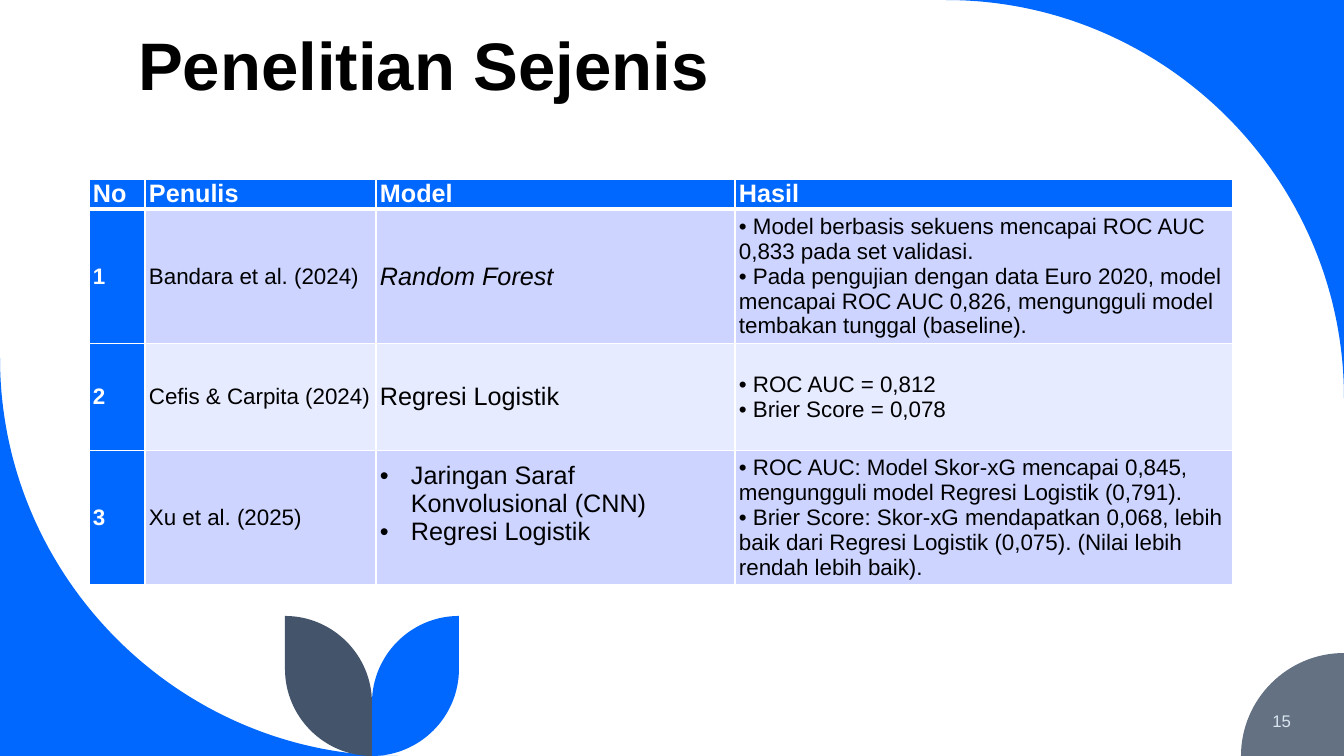
from lxml.etree import SubElement
from pptx import Presentation
from pptx.dml.color import RGBColor
from pptx.enum.text import MSO_ANCHOR, MSO_AUTO_SIZE, PP_ALIGN
from pptx.oxml.ns import qn
from pptx.util import Emu, Pt

EMU_PER_PX = 914400 / 100.8
WIDTH, HEIGHT = 1344, 756
FONT = "Arial"
COLORS = {
    "blue": "0068FF",
    "slate": "44546A",
    "grey": "637183",
    "page": "DAE5EF",
    "band_dark": "CCD4FF",
    "band_light": "E7EBFF",
    "white": "FFFFFF",
    "black": "000000",
}
COLUMN_WIDTHS = [56, 231, 359, 498]
ROW_HEIGHTS = [26, 65, 107, 86]
HEADERS = ["No", "Penulis", "Model", "Hasil"]
STUDIES = [
    ("Bandara et al. (2024)", ["Random Forest"], [
        "• Model berbasis sekuens mencapai ROC AUC 0,833 pada set validasi.",
        "• Pada pengujian dengan data Euro 2020, model mencapai ROC AUC 0,826, "
        "mengungguli model tembakan tunggal (baseline).",
    ]),
    ("Cefis & Carpita (2024)", ["Regresi Logistik"], [
        "• ROC AUC = 0,812",
        "• Brier Score = 0,078",
    ]),
    ("Xu et al. (2025)", ["Jaringan Saraf Konvolusional (CNN)", "Regresi Logistik"], [
        "• ROC AUC: Model Skor-xG mencapai 0,845, mengungguli model Regresi Logistik (0,791).",
        "• Brier Score: Skor-xG mendapatkan 0,068, lebih baik dari Regresi Logistik (0,075). "
        "(Nilai lebih rendah lebih baik).",
    ]),
]


def px(length):
    return Emu(round(length * EMU_PER_PX))


def color(name):
    return RGBColor.from_string(COLORS[name])


def add_run(paragraph, text, size, color_name, bold=False, italic=False):
    run = paragraph.add_run()
    run.text = text
    run.font.name = FONT
    run.font.size = Pt(size)
    run.font.bold = bold
    run.font.italic = italic
    run.font.color.rgb = color(color_name)


def quarter(start, corner, end):
    """Control points and end of a quarter circle whose tangents meet at the corner."""
    controls = [tuple(a + 0.55 * (c - a) for a, c in zip(point, corner))
                for point in (start, end)]
    return controls + [end]


def add_outline(slide, start, segments, color_name):
    """Draw segments of one point as lines and of three points as curves."""
    points = [(px(x), px(y)) for segment in segments for x, y in segment]
    builder = slide.shapes.build_freeform(px(start[0]), px(start[1]), scale=1.0)
    builder.add_line_segments(points, close=True)
    shape = builder.convert_to_shape()
    shape.shadow.inherit = False
    shape.fill.solid()
    shape.fill.fore_color.rgb = color(color_name)
    shape.line.fill.background()

    lines = iter(list(shape._element.iter(qn("a:lnTo"))))
    for segment in segments:
        first, *others = [next(lines) for _ in segment]
        if others:
            first.tag = qn("a:cubicBezTo")
            for line in others:
                first.append(line[0])
                line.getparent().remove(line)


def add_corner(slide, corner, start, bend, end, color_name):
    add_outline(slide, corner, [[start], quarter(start, bend, end)], color_name)


def add_corners(slide, radius, page_radius):
    top_right, bottom_left, bottom_right = (WIDTH, 0), (0, HEIGHT), (WIDTH, HEIGHT)
    page_left, page_top = WIDTH - page_radius, HEIGHT - page_radius
    add_corner(slide, top_right, (WIDTH, radius), top_right, (WIDTH - radius, 0), "blue")
    add_corner(slide, bottom_left, (0, HEIGHT - radius), bottom_left, (radius, HEIGHT), "blue")
    add_corner(slide, bottom_right, (WIDTH, page_top), (page_left, page_top),
               (page_left, HEIGHT), "grey")


def add_leaves(slide, stem, top, radius, height):
    """Two mirrored leaves that meet at the stem."""
    bottom = top + height
    for tip, color_name in ((stem + radius, "blue"), (stem - radius, "slate")):
        start, side = (tip, top), (tip, bottom - radius)
        foot, inner = (stem, bottom), (stem, top + radius)
        add_outline(slide, start, [
            [side],
            quarter(side, (tip, bottom), foot),
            [inner],
            quarter(inner, (stem, top), start),
        ], color_name)


def add_title(slide, left, top, width, height):
    title = slide.shapes.title
    title.left, title.top, title.width, title.height = map(px, (left, top, width, height))
    frame = title.text_frame
    frame.auto_size = MSO_AUTO_SIZE.NONE
    frame.vertical_anchor = MSO_ANCHOR.BOTTOM
    paragraph = frame.paragraphs[0]
    paragraph.alignment = PP_ALIGN.LEFT
    paragraph.line_spacing = 0.9
    add_run(paragraph, "Penelitian Sejenis", 48, "black", bold=True)


def add_page_number(slide, left, top, width, height):
    box = slide.shapes.add_textbox(*map(px, (left, top, width, height)))
    frame = box.text_frame
    frame.word_wrap = True
    frame.vertical_anchor = MSO_ANCHOR.MIDDLE
    paragraph = frame.paragraphs[0]
    paragraph.alignment = PP_ALIGN.RIGHT
    add_run(paragraph, "15", 12, "page")


def set_borders(cell, bottom_points):
    properties = cell._tc.get_or_add_tcPr()
    for position, (side, points) in enumerate(
            [("lnL", 1), ("lnR", 1), ("lnT", 1), ("lnB", bottom_points)]):
        line = SubElement(properties, qn(f"a:{side}"), w=str(Pt(points)))
        fill = SubElement(line, qn("a:solidFill"))
        SubElement(fill, qn("a:srgbClr"), val=COLORS["white"])
        properties.insert(position, line)


def set_bullet(paragraph, indent):
    properties = paragraph._p.get_or_add_pPr()
    properties.set("marL", str(px(indent)))
    properties.set("indent", str(-px(indent)))
    SubElement(properties, qn("a:buFont"), typeface=FONT)
    SubElement(properties, qn("a:buChar"), char="•")


def fill_cell(cell, lines, fill, size, color_name="black", bold=False, italic=False,
              bottom_border=1):
    cell.fill.solid()
    cell.fill.fore_color.rgb = color(fill)
    cell.vertical_anchor = MSO_ANCHOR.MIDDLE
    cell.margin_left = cell.margin_right = px(4)
    cell.margin_top = cell.margin_bottom = Emu(0)
    set_borders(cell, bottom_border)
    frame = cell.text_frame
    for index, text in enumerate(lines):
        paragraph = frame.add_paragraph() if index else frame.paragraphs[0]
        add_run(paragraph, text, size, color_name, bold, italic)


def add_study_table(slide, left, top):
    width, height = sum(COLUMN_WIDTHS), sum(ROW_HEIGHTS)
    table = slide.shapes.add_table(
        len(ROW_HEIGHTS), len(COLUMN_WIDTHS), *map(px, (left, top, width, height))).table
    for column, column_width in zip(table.columns, COLUMN_WIDTHS):
        column.width = px(column_width)
    for row, row_height in zip(table.rows, ROW_HEIGHTS):
        row.height = px(row_height)

    for column, header in enumerate(HEADERS):
        fill_cell(table.cell(0, column), [header], "blue", 18, "white", bold=True,
                  bottom_border=3)
    for number, (author, models, results) in enumerate(STUDIES, start=1):
        band = "band_dark" if number % 2 else "band_light"
        model_cell = table.cell(number, 2)
        fill_cell(table.cell(number, 0), [str(number)], "blue", 16, "white", bold=True)
        fill_cell(table.cell(number, 1), [author], band, 16)
        fill_cell(model_cell, models, band, 18, italic=models == ["Random Forest"])
        fill_cell(table.cell(number, 3), results, band, 16)
        if len(models) > 1:
            model_cell.margin_bottom = px(28)
            for paragraph in model_cell.text_frame.paragraphs:
                set_bullet(paragraph, 31)


def build_study_slide(presentation):
    slide = presentation.slides.add_slide(presentation.slide_layouts[5])
    add_corners(slide, radius=398, page_radius=103)
    add_leaves(slide, stem=372, top=616, radius=87, height=140)
    add_title(slide, 128, 41, 1078, 69)
    add_page_number(slide, 1119, 701, 182, 40)
    add_study_table(slide, 89, 179)


def main():
    presentation = Presentation()
    presentation.slide_width = px(WIDTH)
    presentation.slide_height = px(HEIGHT)
    build_study_slide(presentation)
    presentation.save("out.pptx")


if __name__ == "__main__":
    main()
